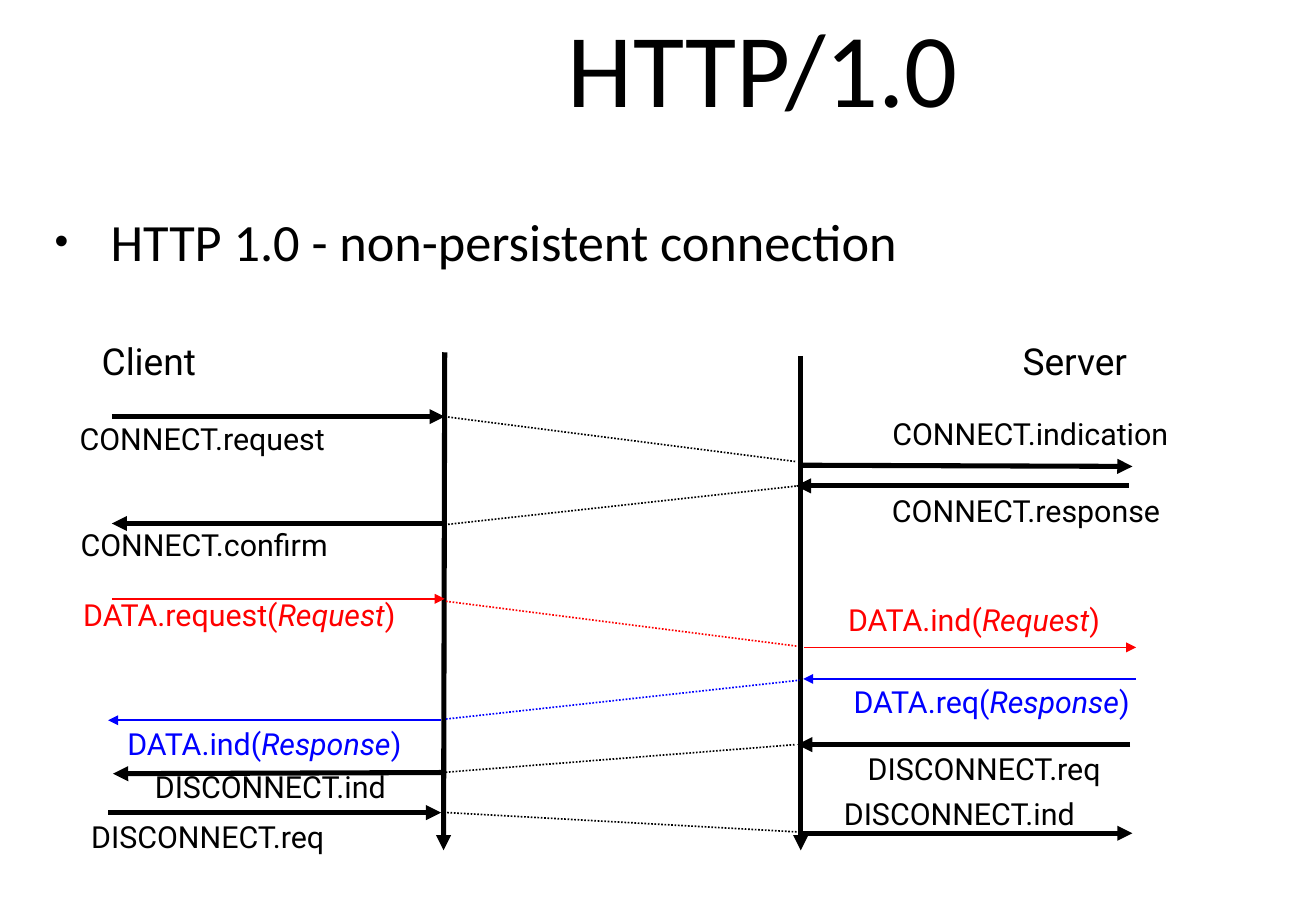
from lxml import etree
from pptx import Presentation
from pptx.dml.color import RGBColor
from pptx.enum.dml import MSO_LINE
from pptx.enum.shapes import MSO_CONNECTOR
from pptx.enum.text import MSO_ANCHOR, MSO_AUTO_SIZE, PP_ALIGN
from pptx.oxml.ns import qn
from pptx.util import Inches, Pt

BLACK = RGBColor(0x00, 0x00, 0x00)
RED = RGBColor(0xFF, 0x00, 0x00)
BLUE = RGBColor(0x00, 0x00, 0xFF)
STRAIGHT = MSO_CONNECTOR.STRAIGHT
DOTTED = MSO_LINE.ROUND_DOT
MIDDLE = MSO_ANCHOR.MIDDLE
CENTER = PP_ALIGN.CENTER
LEFT = PP_ALIGN.LEFT
FIXED = MSO_AUTO_SIZE.NONE
GROW = MSO_AUTO_SIZE.SHAPE_TO_FIT_TEXT

HEADING_FONT = "Calibri"
DIAGRAM_FONT = "Roboto"
THICK, THIN = 3, 1
TIGHT, LOOSE = 0.84, 0.97

LIFELINES = [((3.66, 2.9), (3.65, 7)), ((6.59, 2.93), (6.59, 7))]

ROLES = [("Client", (0.83, 2.84, 0.79, 0.32)), ("Server", (8.39, 2.84, 0.91, 0.32))]

PRIMITIVES = [
    ("CONNECT.request", "", BLACK, (0.6, 3.5, 2.13), (0.92, 3.43), (3.66, 3.43)),
    ("CONNECT.indication", "", BLACK, (7.3, 3.46, 2.36), (6.59, 3.83), (9.32, 3.84)),
    ("CONNECT.response", "", BLACK, (7.28, 4.1, 2.33), (9.29, 4), (6.55, 4)),
    ("CONNECT.confirm", "", BLACK, (0.62, 4.38, 2.12), (3.66, 4.31), (0.92, 4.31)),
    ("DATA.request", "Request", RED, (0.64, 4.92, 2.66), (0.92, 4.93), (3.66, 4.93)),
    ("DATA.ind", "Request", RED, (6.94, 4.96, 2.15), (6.62, 5.33), (9.35, 5.33)),
    ("DATA.req", "Response", BLUE, (6.97, 5.64, 2.38), (9.35, 5.59), (6.61, 5.59)),
    ("DATA.ind", "Response", BLUE, (1, 5.98, 2.35), (3.63, 5.93), (0.89, 5.93)),
    ("DISCONNECT.req", "", BLACK, (7.06, 6.22, 2.08), (9.3, 6.13), (6.56, 6.13)),
    ("DISCONNECT.ind", "", BLACK, (1.2, 6.37, 2.05), (3.67, 6.36), (0.93, 6.37)),
    ("DISCONNECT.req", "", BLACK, (0.67, 6.78, 2.08), (0.89, 6.69), (3.63, 6.69)),
    ("DISCONNECT.ind", "", BLACK, (6.87, 6.59, 2.05), (6.59, 6.86), (9.32, 6.86)),
]

TRANSFERS = [
    ((3.66, 3.43), (6.55, 3.8), BLACK),
    ((3.66, 4.32), (6.57, 4), BLACK),
    ((3.67, 4.95), (6.56, 5.32), RED),
    ((3.67, 5.92), (6.58, 5.6), BLUE),
    ((3.64, 6.36), (6.55, 6.13), BLACK),
    ((3.68, 6.69), (6.58, 6.85), BLACK),
]


def apply_format(target, values):
    for attribute, value in values.items():
        setattr(target, attribute, value)


class SequenceSlide:
    def __init__(self, slide):
        self.slide = slide

    def frame(self, shape, margin, **extra):
        margins = {f"margin_{side}": Inches(margin) for side in ("left", "right", "top", "bottom")}
        apply_format(shape.text_frame, {**margins, "vertical_anchor": MIDDLE, **extra})
        return shape.text_frame.paragraphs[0]

    def fill_paragraph(self, paragraph, pieces, font, size, color=BLACK, align=CENTER, spacing=TIGHT):
        apply_format(paragraph, {"alignment": align, "line_spacing": spacing, "space_before": Pt(0)})
        for text, italic in pieces:
            run = paragraph.add_run()
            run.text = text
            apply_format(run.font, {"name": font, "size": Pt(size), "italic": italic})
            run.font.color.rgb = color

    def placeholder(self, index, text, box, size, align, bullet=False):
        holder = self.slide.placeholders[index]
        apply_format(holder, dict(zip(("left", "top", "width", "height"), map(Inches, box))))
        paragraph = self.frame(holder, 0.04, word_wrap=True, auto_size=FIXED)
        if bullet:
            self.bullet(paragraph)
        self.fill_paragraph(paragraph, [(text, False)], HEADING_FONT, size, align=align)

    def bullet(self, paragraph):
        properties = paragraph._p.get_or_add_pPr()
        properties.set("marL", str(Inches(0.52)))
        properties.set("indent", str(Inches(-0.46)))
        color = etree.SubElement(properties, qn("a:buClr"))
        etree.SubElement(color, qn("a:srgbClr"), val=str(BLACK))
        etree.SubElement(properties, qn("a:buSzPct"), val="75000")
        etree.SubElement(properties, qn("a:buChar"), char="•")

    def label(self, pieces, box, size, color=BLACK, spacing=TIGHT):
        shape = self.slide.shapes.add_textbox(*map(Inches, box))
        paragraph = self.frame(shape, 0, word_wrap=False, auto_size=GROW)
        self.fill_paragraph(paragraph, pieces, DIAGRAM_FONT, size, color, spacing=spacing)

    def line(self, start, end, color=BLACK, width=THIN, dash=None, arrow=False):
        connector = self.slide.shapes.add_connector(STRAIGHT, *map(Inches, start + end))
        connector.line.color.rgb = color
        apply_format(connector.line, {"width": Pt(width), "dash_style": dash})
        properties = connector._element.spPr
        if arrow:
            etree.SubElement(properties.find(qn("a:ln")), qn("a:tailEnd"), type="triangle")
        etree.SubElement(properties, qn("a:effectLst"))

    def primitive(self, service, payload, color, place, start, end):
        self.line(start, end, color, THIN if payload else THICK, arrow=True)
        if payload:
            pieces = [(f"{service}(", False), (payload, True), (")", False)]
            self.label(pieces, place + (0.3,), 18, color, LOOSE)
        else:
            self.label([(service, False)], place + (0.26,), 18, color)


def main():
    deck = Presentation()
    apply_format(deck, {"slide_width": Inches(10.83), "slide_height": Inches(7.5)})
    http = SequenceSlide(deck.slides.add_slide(deck.slide_layouts[1]))

    http.placeholder(0, "HTTP/1.0", (2.23, 0, 8.1, 1.25), 62, CENTER)
    http.placeholder(1, "HTTP 1.0 - non-persistent connection",
                     (0.35, 1.24, 10.31, 1.57), 31, LEFT, bullet=True)

    for start, end in LIFELINES:
        http.line(start, end, width=THICK, arrow=True)
    for role, box in ROLES:
        http.label([(role, False)], box, 22)
    for primitive in PRIMITIVES:
        http.primitive(*primitive)
    for start, end, color in TRANSFERS:
        http.line(start, end, color, dash=DOTTED)

    deck.save("out.pptx")


if __name__ == "__main__":
    main()
